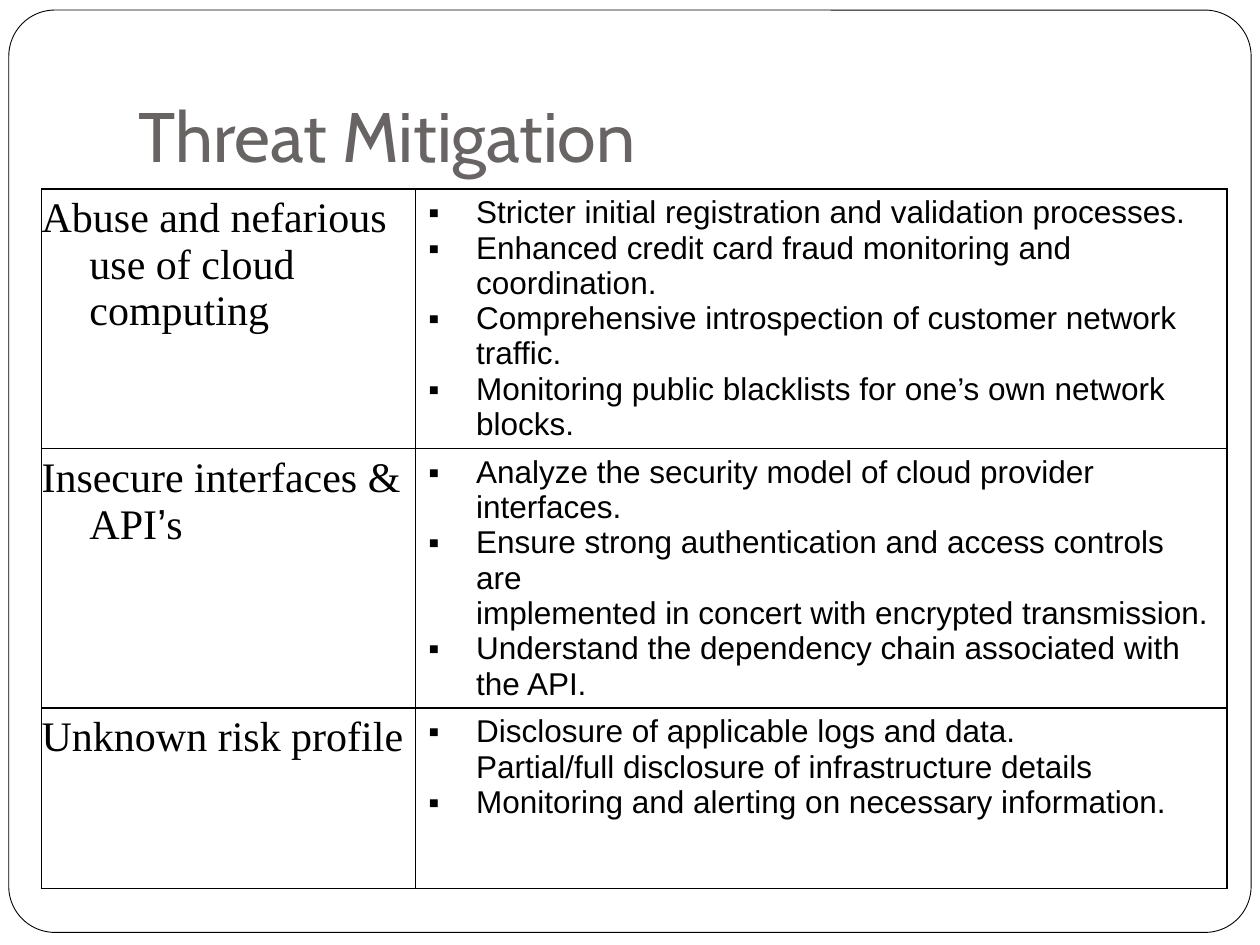
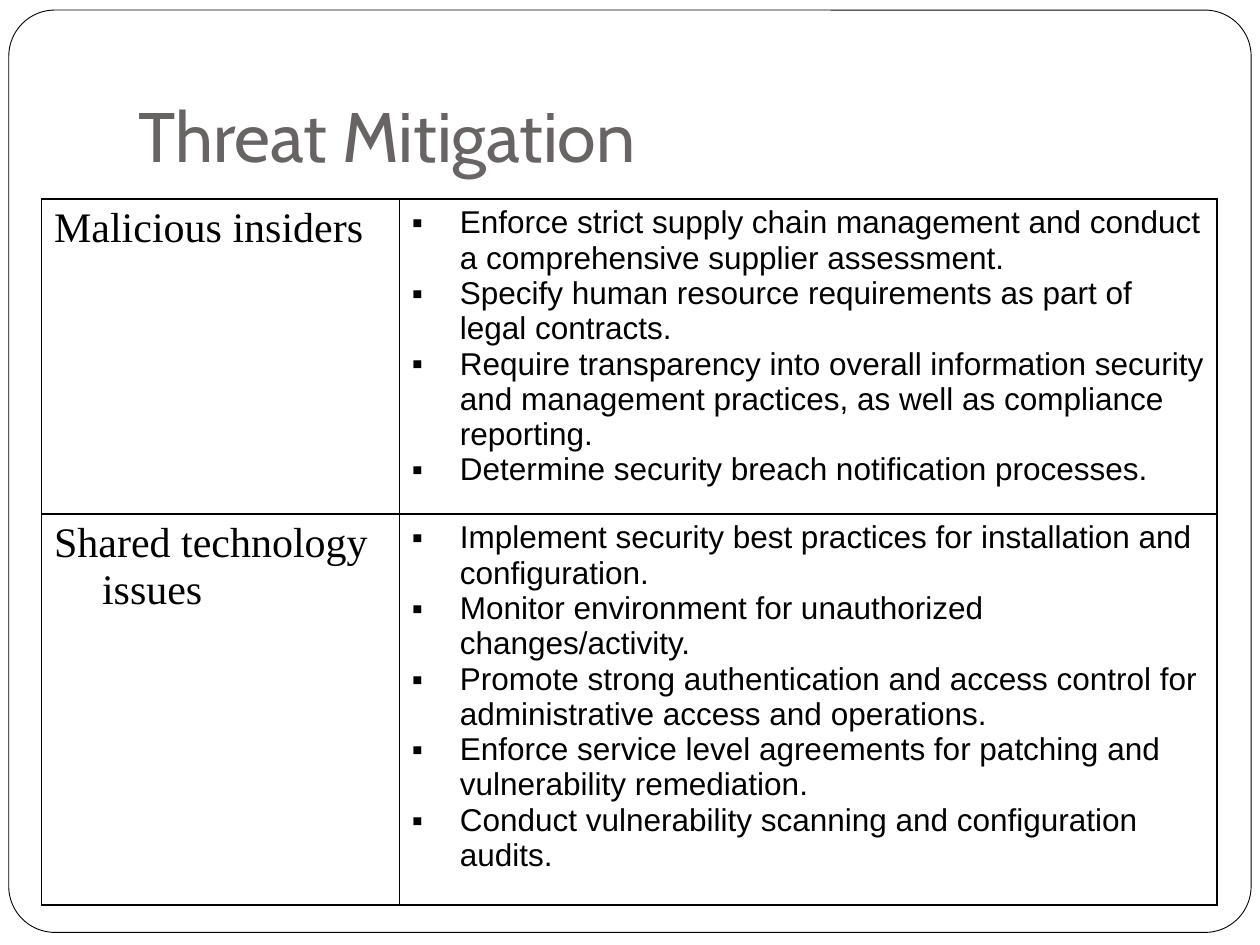
from dataclasses import dataclass

from lxml.etree import SubElement
from pptx import Presentation
from pptx.dml.color import RGBColor
from pptx.enum.shapes import MSO_SHAPE
from pptx.enum.text import MSO_ANCHOR
from pptx.oxml import parse_xml
from pptx.oxml.ns import nsdecls, qn
from pptx.util import Inches, Pt


@dataclass(frozen=True)
class Theme:
    ink: RGBColor = RGBColor(0x00, 0x00, 0x00)
    paper: RGBColor = RGBColor(0xFF, 0xFF, 0xFF)
    heading: RGBColor = RGBColor(0x69, 0x64, 0x64)
    title_font: str = "Cabin"
    threat_font: str = "Times New Roman"
    remedy_font: str = "Arial"
    title_size: Pt = Pt(40)
    threat_size: Pt = Pt(24)
    remedy_size: Pt = Pt(18)
    frame_line: Pt = Pt(0.5)
    cell_line: Pt = Pt(1)
    hanging: Inches = Inches(0.38)


class Deck:
    def __init__(self, theme):
        self.theme = theme
        self.presentation = Presentation()
        self.presentation.slide_width = Inches(10)
        self.presentation.slide_height = Inches(7.5)
        self.slide = None

    def add_slide(self):
        self.slide = self.presentation.slides.add_slide(self.presentation.slide_layouts[6])
        self.frame()

    def frame(self):
        border = self.slide.shapes.add_shape(
            MSO_SHAPE.ROUNDED_RECTANGLE, Inches(0.07), Inches(0.08), Inches(9.86), Inches(7.32))
        border.adjustments[0] = 0.05
        border.shadow.inherit = False
        border.fill.solid()
        border.fill.fore_color.rgb = self.theme.paper
        border.line.color.rgb = self.theme.ink
        border.line.width = self.theme.frame_line

    def style(self, paragraph, font, size, color):
        paragraph.font.name = font
        paragraph.font.size = size
        paragraph.font.color.rgb = color

    def title(self, text):
        heading = self.slide.shapes.add_textbox(
            Inches(1), Inches(0.25), Inches(8.5), Inches(1.25)).text_frame
        heading.word_wrap = True
        heading.vertical_anchor = MSO_ANCHOR.BOTTOM
        heading.margin_bottom = Inches(0.1)
        heading.text = text
        self.style(heading.paragraphs[0], self.theme.title_font,
                   self.theme.title_size, self.theme.heading)

    def hang(self, paragraph, bullet=None):
        properties = paragraph._p.get_or_add_pPr()
        properties.set("marL", str(self.theme.hanging))
        properties.set("indent", str(-self.theme.hanging))
        if bullet:
            SubElement(properties, qn("a:buFont"), typeface=self.theme.remedy_font)
            SubElement(properties, qn("a:buChar"), char=bullet)

    def outline(self, cell):
        cell.fill.background()
        properties = cell._tc.get_or_add_tcPr()
        for position, side in enumerate("LRTB"):
            properties.insert(position, parse_xml(
                f'<a:ln{side} {nsdecls("a")} w="{self.theme.cell_line}"><a:solidFill>'
                f'<a:srgbClr val="{self.theme.ink}"/></a:solidFill></a:ln{side}>'))

    def threat(self, cell, text, inset):
        cell.margin_left = cell.margin_right = inset
        paragraph = cell.text_frame.paragraphs[0]
        self.hang(paragraph)
        self.style(paragraph, self.theme.threat_font, self.theme.threat_size, self.theme.ink)
        for part in filter(None, text.partition("’")):
            run = paragraph.add_run()
            run.text = part
            if part == "’":
                run.font.name = self.theme.remedy_font

    def remedies(self, cell, texts):
        for position, text in enumerate(texts):
            body = cell.text_frame
            paragraph = body.add_paragraph() if position else body.paragraphs[0]
            paragraph.text = text
            self.hang(paragraph, "▪")
            self.style(paragraph, self.theme.remedy_font, self.theme.remedy_size, self.theme.ink)

    def mitigation_table(self, top, widths, heights, threats, inset):
        grid = self.slide.shapes.add_table(
            len(threats), 2, Inches(0.33), Inches(top),
            Inches(sum(widths)), Inches(sum(heights))).table
        grid.first_row = grid.horz_banding = False
        for column, width in zip(grid.columns, widths):
            column.width = Inches(width)
        for row, height, (threat, remedies) in zip(grid.rows, heights, threats.items()):
            row.height = Inches(height)
            threat_cell, remedy_cell = row.cells
            self.threat(threat_cell, threat, Inches(inset))
            self.remedies(remedy_cell, remedies)
            for cell in row.cells:
                self.outline(cell)


EXTERNAL_THREATS = {
    "Abuse and nefarious use of cloud computing": [
        "Stricter initial registration and validation processes.",
        "Enhanced credit card fraud monitoring and coordination.",
        "Comprehensive introspection of customer network traffic.",
        "Monitoring public blacklists for one’s own network blocks.",
    ],
    "Insecure interfaces & API’s": [
        "Analyze the security model of cloud provider interfaces.",
        "Ensure strong authentication and access controls are\n"
        "implemented in concert with encrypted transmission.",
        "Understand the dependency chain associated with the API.",
    ],
    "Unknown risk profile": [
        "Disclosure of applicable logs and data.\n"
        "Partial/full disclosure of infrastructure details",
        "Monitoring and alerting on necessary information.",
    ],
}

INTERNAL_THREATS = {
    "Malicious insiders": [
        "Enforce strict supply chain management and conduct a comprehensive supplier assessment.",
        "Specify human resource requirements as part of legal contracts.",
        "Require transparency into overall information security and management practices, "
        "as well as compliance reporting.",
        "Determine security breach notification processes.",
    ],
    "Shared technology issues": [
        "Implement security best practices for installation and configuration.",
        "Monitor environment for unauthorized changes/activity.",
        "Promote strong authentication and access control for\n"
        "administrative access and operations.",
        "Enforce service level agreements for patching and vulnerability remediation.",
        "Conduct vulnerability scanning and configuration audits.",
    ],
}


def main():
    deck = Deck(Theme())
    for top, widths, heights, threats, inset in (
        (1.5, (2.97, 6.44), (2.06, 2.06, 1.43), EXTERNAL_THREATS, 0),
        (1.58, (2.84, 6.49), (2.48, 2.9), INTERNAL_THREATS, 0.1),
    ):
        deck.add_slide()
        deck.mitigation_table(top, widths, heights, threats, inset)
        deck.title("Threat Mitigation")
    deck.presentation.save("out.pptx")


if __name__ == "__main__":
    main()
